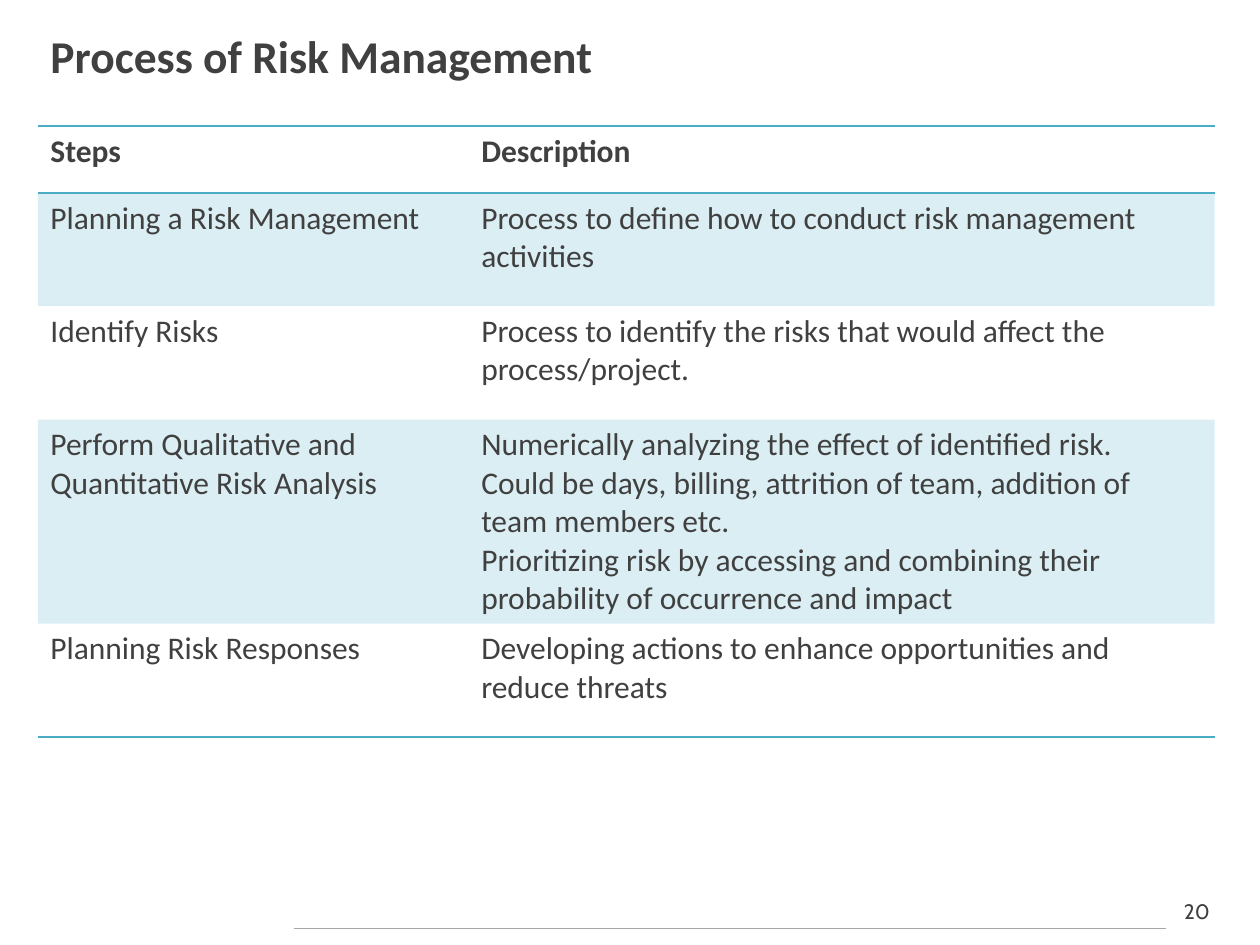
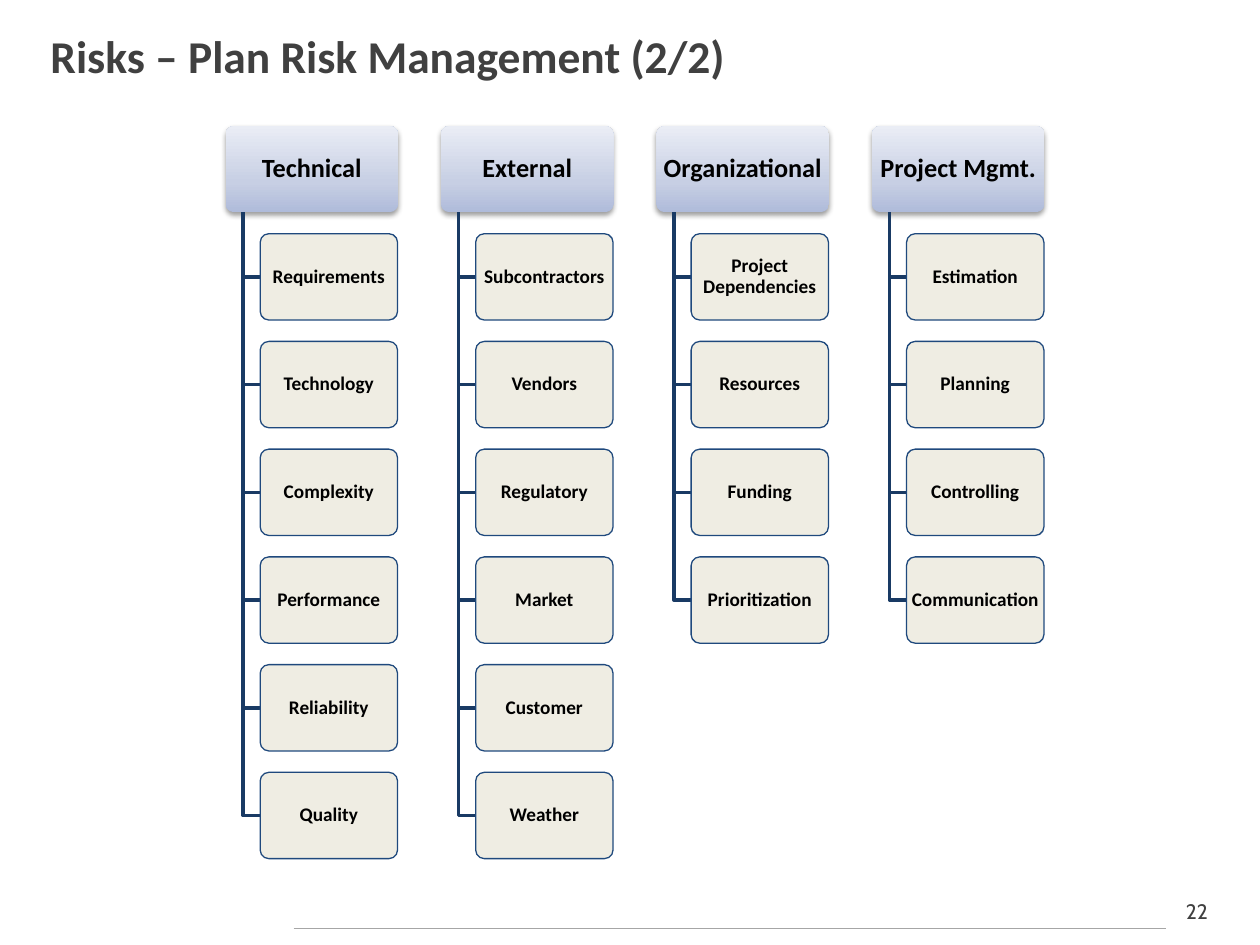
from dataclasses import dataclass

import pptx
import pptx.dml.color
import pptx.enum.shapes
import pptx.enum.text
import pptx.oxml
import pptx.oxml.ns
import pptx.util

Inches = pptx.util.Inches
Pt = pptx.util.Pt
RGB = pptx.dml.color.RGBColor.from_string
Align = pptx.enum.text.PP_ALIGN
Anchor = pptx.enum.text.MSO_ANCHOR
NS = 'xmlns:a="http://schemas.openxmlformats.org/drawingml/2006/main"'


@dataclass(frozen=True)
class Theme:
    font: str = "Calibri"
    number_font: str = "Cabin"
    text: str = "404040"
    black: str = "000000"
    rule: str = "A6A6A6"
    accent: str = "4BACC6"
    branch: str = "193A64"
    risk_fill: str = "EEECE1"
    risk_line: str = "1F497D"
    category_stops: tuple = ((0, "AFBBDA"), (35, "C7CFE4"), (100, "EAEDF5"))
    title_size: int = 26
    table_size: int = 18
    category_size: int = 15
    risk_size: int = 11
    number_size: int = 12


theme = Theme()


def write(frame, text, *, size, color=theme.text, font=theme.font, bold=False,
          align=Align.LEFT, anchor=Anchor.TOP, spacing=1.0, inset=(0.1, 0.05)):
    frame.word_wrap = True
    frame.vertical_anchor = anchor
    frame.margin_left = frame.margin_right = Inches(inset[0])
    frame.margin_top = frame.margin_bottom = Inches(inset[1])
    frame.text = text
    for paragraph in frame.paragraphs:
        paragraph.alignment = align
        paragraph.line_spacing = spacing
        for run in paragraph.runs:
            run.font.size = Pt(size)
            run.font.name = font
            run.font.bold = bold
            run.font.color.rgb = RGB(color)


def add_xml(parent, markup):
    parent.append(pptx.oxml.parse_xml(markup))


deck = pptx.Presentation()
deck.slide_width, deck.slide_height = Inches(10), Inches(7.5)

slides = []
for heading, number in (("Process of Risk Management", "20"),
                        ("Risks – Plan Risk Management (2/2)", "22")):
    slide = deck.slides.add_slide(deck.slide_layouts[5])
    slides.append(slide)
    title = slide.shapes.title
    title.left, title.top = Inches(0.3), Inches(0.12)
    title.width, title.height = Inches(9.36), Inches(0.63)
    write(title.text_frame, heading, size=theme.title_size, bold=True, anchor=Anchor.MIDDLE)

    page_number = slide.shapes.add_textbox(Inches(9.25), Inches(7.08), Inches(0.5), Inches(0.3))
    write(page_number.text_frame, number, size=theme.number_size, font=theme.number_font,
          align=Align.CENTER)

    footer_rule = slide.shapes.add_connector(
        pptx.enum.shapes.MSO_CONNECTOR.STRAIGHT,
        Inches(2.33), Inches(7.37), Inches(9.25), Inches(7.37))
    footer_rule.line.color.rgb = RGB(theme.rule)
    footer_rule.line.width = Pt(0.75)
    add_xml(footer_rule._element.spPr, f"<a:effectLst {NS}/>")

process_slide, risk_slide = slides

steps = [
    ("Steps", "Description"),
    ("Planning a Risk Management",
     "Process to define how to conduct risk management activities"),
    ("Identify Risks",
     "Process to identify the risks that would affect the process/project."),
    ("Perform Qualitative and Quantitative Risk Analysis",
     "Numerically analyzing the effect of identified risk.\n"
     "Could be days, billing, attrition of team, addition of team members etc.\n"
     "Prioritizing risk by accessing and combining their probability of occurrence and impact"),
    ("Planning Risk Responses",
     "Developing actions to enhance opportunities and reduce threats"),
]
row_heights = (0.53, 0.9, 0.9, 1.62, 0.9)
row_borders = {0: ("lnT", "lnB"), len(steps) - 1: ("lnB",)}

process = process_slide.shapes.add_table(
    len(steps), 2, Inches(0.3), Inches(1), Inches(9.34), Inches(sum(row_heights))).table
process.first_row = process.horz_banding = False
style_id = process._tbl.tblPr.find(pptx.oxml.ns.qn("a:tableStyleId"))
style_id.text = "{2D5ABB26-0587-4C30-8999-92F81FD0307C}"
process.columns[0].width, process.columns[1].width = Inches(3.42), Inches(5.92)

for row, (entries, height) in enumerate(zip(steps, row_heights)):
    process.rows[row].height = Inches(height)
    for column, entry in enumerate(entries):
        cell = process.cell(row, column)
        write(cell.text_frame, entry, size=theme.table_size, bold=row == 0)
        properties = cell._tc.get_or_add_tcPr()
        for edge in row_borders.get(row, ()):
            add_xml(properties, f'<a:{edge} {NS} w="12700"><a:solidFill>'
                                f'<a:srgbClr val="{theme.accent}"/></a:solidFill></a:{edge}>')
        if row % 2:
            add_xml(properties, f'<a:solidFill {NS}><a:srgbClr val="{theme.accent}">'
                                '<a:alpha val="20000"/></a:srgbClr></a:solidFill>')
        else:
            cell.fill.background()

risks = {
    "Technical": ("Requirements", "Technology", "Complexity", "Performance",
                  "Reliability", "Quality"),
    "External": ("Subcontractors", "Vendors", "Regulatory", "Market", "Customer", "Weather"),
    "Organizational": ("Project Dependencies", "Resources", "Funding", "Prioritization"),
    "Project Mgmt.": ("Estimation", "Planning", "Controlling", "Communication"),
}
chart_left, chart_top = 1.79, 1
column_step, row_step = 1.71, 0.855
box_height, category_width, risk_width = 0.685, 1.37, 1.09
trunk_indent, risk_indent = 0.14, 0.275
rounded = pptx.enum.shapes.MSO_SHAPE.ROUNDED_RECTANGLE
gradient_stops = "".join(
    f'<a:gs pos="{position * 1000}"><a:srgbClr val="{color}"/></a:gs>'
    for position, color in theme.category_stops)
box_text = dict(color=theme.black, bold=True, align=Align.CENTER,
                anchor=Anchor.MIDDLE, spacing=0.9, inset=(0.02, 0.02))

for column, (category, items) in enumerate(risks.items()):
    left = chart_left + column * column_step
    category_box = risk_slide.shapes.add_shape(
        rounded, Inches(left), Inches(chart_top), Inches(category_width), Inches(box_height))
    category_box.adjustments[0] = 0.1
    properties = category_box._element.spPr
    add_xml(properties, f'<a:gradFill {NS} rotWithShape="1"><a:gsLst>{gradient_stops}</a:gsLst>'
                        '<a:lin ang="16200000" scaled="0"/></a:gradFill>')
    category_box.line.fill.background()
    add_xml(properties, f'<a:effectLst {NS}><a:outerShdw blurRad="{Pt(3.1)}" dist="{Pt(1.6)}" '
                        f'dir="5400000" rotWithShape="0"><a:srgbClr val="{theme.black}">'
                        '<a:alpha val="38000"/></a:srgbClr></a:outerShdw></a:effectLst>')
    write(category_box.text_frame, category, size=theme.category_size, **box_text)

    for row, item in enumerate(items, start=1):
        top = chart_top + row * row_step
        trunk_x, risk_x = Inches(left + trunk_indent), Inches(left + risk_indent)
        middle = Inches(top + box_height / 2)
        outline = risk_slide.shapes.build_freeform(trunk_x, Inches(chart_top + box_height))
        outline.add_line_segments([(trunk_x, middle), (risk_x, middle)], close=False)
        branch = outline.convert_to_shape()
        branch.fill.background()
        branch.line.color.rgb = RGB(theme.branch)
        branch.line.width = Pt(2)
        branch.shadow.inherit = False

        risk_box = risk_slide.shapes.add_shape(
            rounded, risk_x, Inches(top), Inches(risk_width), Inches(box_height))
        risk_box.adjustments[0] = 0.1
        risk_box.fill.solid()
        risk_box.fill.fore_color.rgb = RGB(theme.risk_fill)
        fill_color = risk_box._element.spPr.find(
            f"{pptx.oxml.ns.qn('a:solidFill')}/{pptx.oxml.ns.qn('a:srgbClr')}")
        add_xml(fill_color, f'<a:alpha {NS} val="90000"/>')
        risk_box.line.color.rgb = RGB(theme.risk_line)
        risk_box.line.width = Pt(0.75)
        risk_box.shadow.inherit = False
        write(risk_box.text_frame, item, size=theme.risk_size, **box_text)

deck.save("out.pptx")
